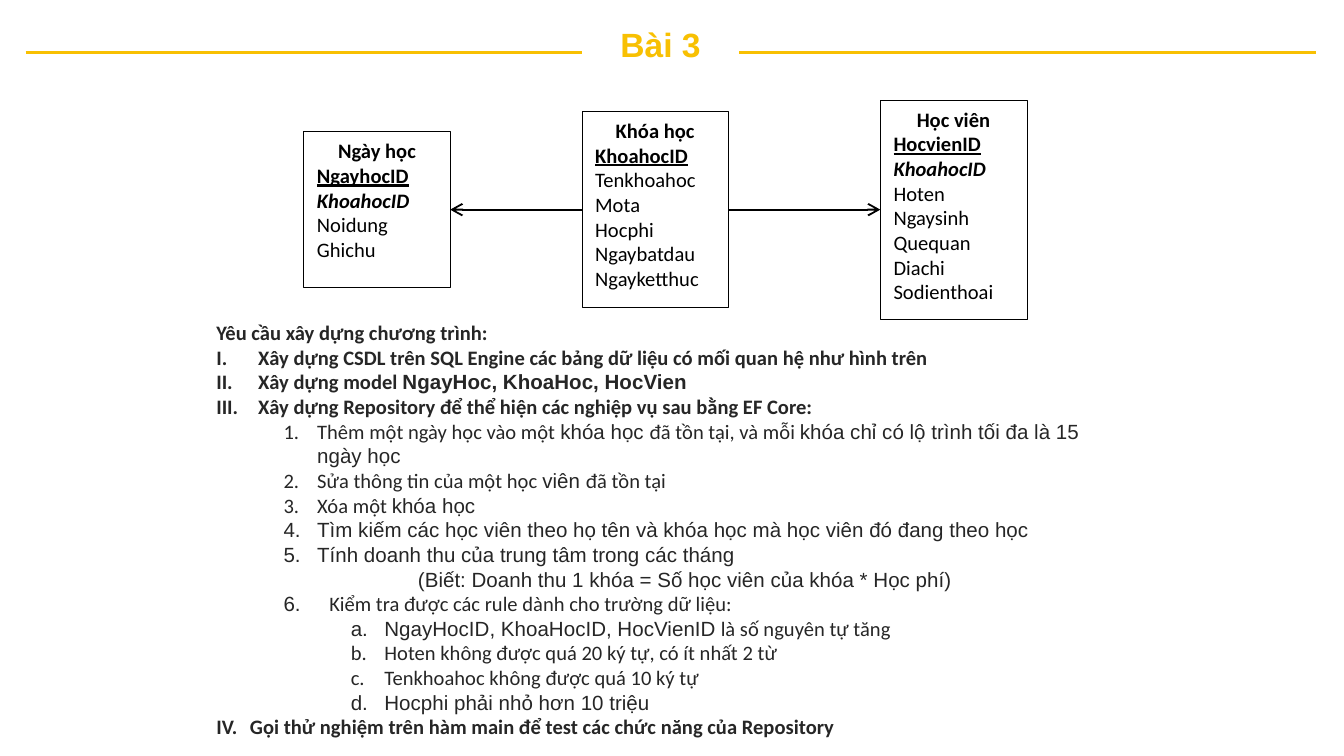
from dataclasses import dataclass
from lxml import etree
from pptx import Presentation
from pptx.dml import color
from pptx.enum import shapes, text
from pptx.oxml import ns
from pptx.util import Inches, Pt


@dataclass(frozen=True)
class Theme:
    """Colours, typefaces and type sizes of the slide."""
    gold = color.RGBColor(0xF8, 0xC0, 0x02)
    ink = color.RGBColor(0x26, 0x26, 0x26)
    black = color.RGBColor(0, 0, 0)
    white = color.RGBColor(0xFF, 0xFF, 0xFF)
    heading = "Arial"
    body = "Calibri"
    title_size = Pt(18)
    body_size = Pt(11)
    body_spacing = Pt(13.2)


THEME = Theme()
CENTRE_Y = 1.56
ENTITY_WIDTH = 1.09

ENTITIES = [
    (2.26, 1.16, "Ngày học", "NgayhocID", "KhoahocID", ["Noidung", "Ghichu"]),
    (4.33, 1.46, "Khóa học", "KhoahocID", None,
     ["Tenkhoahoc", "Mota", "Hocphi", "Ngaybatdau", "Ngayketthuc"]),
    (6.55, 1.63, "Học viên", "HocvienID", "KhoahocID",
     ["Hoten", "Ngaysinh", "Quequan", "Diachi", "Sodienthoai"]),
]

LEVELS = {
    "heading": (0, 0, 0, None, True),
    "part": (0, 0.31, 0.31, "romanUcPeriod", True),
    "last part": (0, 0.25, 0.25, "romanUcPeriod", True),
    "task": (1, 0.75, 0.25, "arabicPeriod", False),
    "rules task": (1, 0.84, 0.34, None, False),
    "note": (1, 1.5, 0, None, False),
    "rule": (2, 1.25, 0.25, "alphaLcPeriod", False),
}

B, H = THEME.body, THEME.heading
REQUIREMENTS = [
    ("heading", [("Yêu cầu xây dựng chương trình:", B)]),
    ("part", [("Xây dựng CSDL trên SQL Engine các bảng dữ liệu có mối quan hệ như hình trên", B)]),
    ("part", [("Xây dựng model ", B), ("NgayHoc, KhoaHoc, HocVien", H)]),
    ("part", [("Xây dựng Repository để thể hiện các nghiệp vụ sau bằng EF Core:", B)]),
    ("task", [("Thêm một ngày học vào một ", B), ("khóa học ", H), ("đã tồn tại, và mỗi ", B),
              ("khóa chỉ có lộ trình tối đa là 15 ngày học", H)]),
    ("task", [("Sửa thông tin của một học ", B), ("viên ", H), ("đã tồn tại", B)]),
    ("task", [("Xóa một ", B), ("khóa học", H)]),
    ("task", [("Tìm kiếm các học viên theo họ tên và khóa học mà học viên đó đang theo học", H)]),
    ("task", [("Tính doanh thu của trung tâm trong các tháng", H)]),
    ("note", [("(Biết: Doanh thu 1 khóa = Số học viên của khóa * Học phí)", H)]),
    ("rules task", [("6.\t", H), ("Kiểm tra được các rule dành cho trường dữ liệu:", B)]),
    ("rule", [("NgayHocID, KhoaHocID, HocVienID", H), (" là số nguyên tự tăng", B)]),
    ("rule", [("Hoten không được quá 20 ký tự, có ít nhất 2 từ", B)]),
    ("rule", [("Tenkhoahoc không được quá 10 ký tự", B)]),
    ("rule", [("Hocphi phải nhỏ hơn 10 triệu", H)]),
    ("last part", [("Gọi thử nghiệm trên hàm main để test các chức năng của Repository", B)]),
]


def style_font(font, name, size, colour, bold=False, italic=False, underline=False):
    """Set every visible property of a font."""
    font.name, font.size, font.color.rgb = name, size, colour
    font.bold, font.italic, font.underline = bold, italic, underline


def write_paragraph(paragraph, pieces, size, colour, **emphasis):
    """Write (wording, typeface) pieces and style the paragraph and its runs."""
    style_font(paragraph.font, pieces[0][1], size, colour, **emphasis)
    for wording, name in pieces:
        run = paragraph.add_run()
        run.text = wording
        style_font(run.font, name, size, colour, **emphasis)


def next_paragraph(frame, index):
    """Return the first paragraph of a frame, or a new one after it."""
    return frame.add_paragraph() if index else frame.paragraphs[0]


def set_numbering(paragraph, left, hanging, scheme):
    """Give a paragraph its indents and automatic numbering."""
    properties = paragraph._p.get_or_add_pPr()
    properties.set("marL", str(Inches(left)))
    properties.set("indent", str(-Inches(hanging)))
    if scheme:
        etree.SubElement(properties, ns.qn("a:buAutoNum"), type=scheme)
    else:
        etree.SubElement(properties, ns.qn("a:buNone"))


def add_text_frame(slide, left, top, width, height):
    """Add a wrapping text box with narrow margins and return its frame."""
    box = slide.shapes.add_textbox(Inches(left), Inches(top), Inches(width), Inches(height))
    frame = box.text_frame
    frame.word_wrap = True
    frame.margin_left = frame.margin_right = Inches(0.07)
    frame.margin_top = frame.margin_bottom = Inches(0.04)
    return frame


def add_line(slide, start, end, y, colour, width, arrow=False):
    """Add a horizontal line, with an open arrowhead at its end if asked."""
    line = slide.shapes.add_connector(
        shapes.MSO_CONNECTOR.STRAIGHT, Inches(start), Inches(y), Inches(end), Inches(y))
    line.line.color.rgb, line.line.width = colour, Pt(width)
    if arrow:
        etree.SubElement(line.line._get_or_add_ln(), ns.qn("a:tailEnd"), type="arrow")
    etree.SubElement(line._element.spPr, ns.qn("a:effectLst"))


def add_title(slide):
    """Add the title between its two gold rules."""
    for start, end in [(0.19, 4.33), (5.5, 9.79)]:
        add_line(slide, start, end, 0.39, THEME.gold, 1.5)
    frame = add_text_frame(slide, 4.33, 0.16, 1.17, 0.33)
    frame.vertical_anchor = text.MSO_ANCHOR.MIDDLE
    paragraph = frame.paragraphs[0]
    paragraph.alignment = text.PP_ALIGN.CENTER
    write_paragraph(paragraph, [("Bài 3", THEME.heading)], THEME.title_size, THEME.gold, bold=True)


def add_entity(slide, left, height, name, primary_key, foreign_key, fields):
    """Add an entity box with its name, keys and fields."""
    shape = slide.shapes.add_shape(
        shapes.MSO_SHAPE.RECTANGLE, Inches(left), Inches(CENTRE_Y - height / 2),
        Inches(ENTITY_WIDTH), Inches(height))
    shape.shadow.inherit = False
    shape.fill.solid()
    shape.fill.fore_color.rgb = THEME.white
    shape.line.color.rgb, shape.line.width = THEME.black, Pt(0.25)
    frame = shape.text_frame
    frame.word_wrap = True
    frame.vertical_anchor = text.MSO_ANCHOR.TOP
    rows = [(name, {"bold": True}), (primary_key, {"bold": True, "underline": True})]
    if foreign_key:
        rows.append((foreign_key, {"bold": True, "italic": True}))
    rows += [(field, {}) for field in fields]
    for index, (wording, emphasis) in enumerate(rows):
        paragraph = next_paragraph(frame, index)
        paragraph.alignment = text.PP_ALIGN.LEFT if index else text.PP_ALIGN.CENTER
        write_paragraph(paragraph, [(wording, THEME.body)], THEME.body_size, THEME.black, **emphasis)


def add_requirements(slide):
    """Add the numbered list of requirements."""
    frame = add_text_frame(slide, 1.54, 2.34, 6.76, 3.22)
    for index, (kind, pieces) in enumerate(REQUIREMENTS):
        level, left, hanging, scheme, bold = LEVELS[kind]
        paragraph = next_paragraph(frame, index)
        paragraph.level = level
        set_numbering(paragraph, left, hanging, scheme)
        paragraph.line_spacing = THEME.body_spacing
        write_paragraph(paragraph, pieces, THEME.body_size, THEME.ink, bold=bold)


def main():
    """Build the slide and save it."""
    presentation = Presentation()
    presentation.slide_width = Inches(10)
    presentation.slide_height = presentation.slide_width * 9 // 16
    slide = presentation.slides.add_slide(presentation.slide_layouts[6])
    add_title(slide)
    add_requirements(slide)
    for entity in ENTITIES:
        add_entity(slide, *entity)
    days, course, students = [entity[0] for entity in ENTITIES]
    add_line(slide, course, days + ENTITY_WIDTH, CENTRE_Y, THEME.black, 1, arrow=True)
    add_line(slide, course + ENTITY_WIDTH, students, CENTRE_Y, THEME.black, 1, arrow=True)
    presentation.save("out.pptx")


if __name__ == "__main__":
    main()
